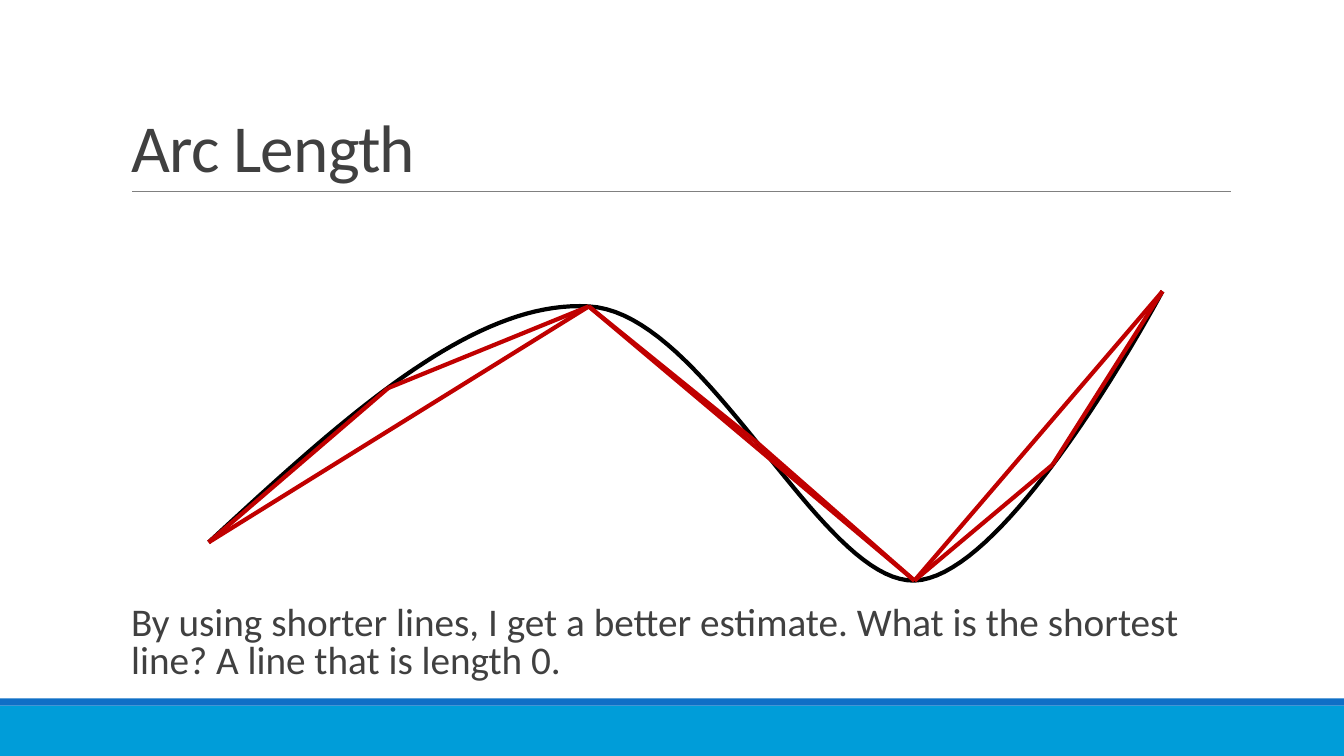
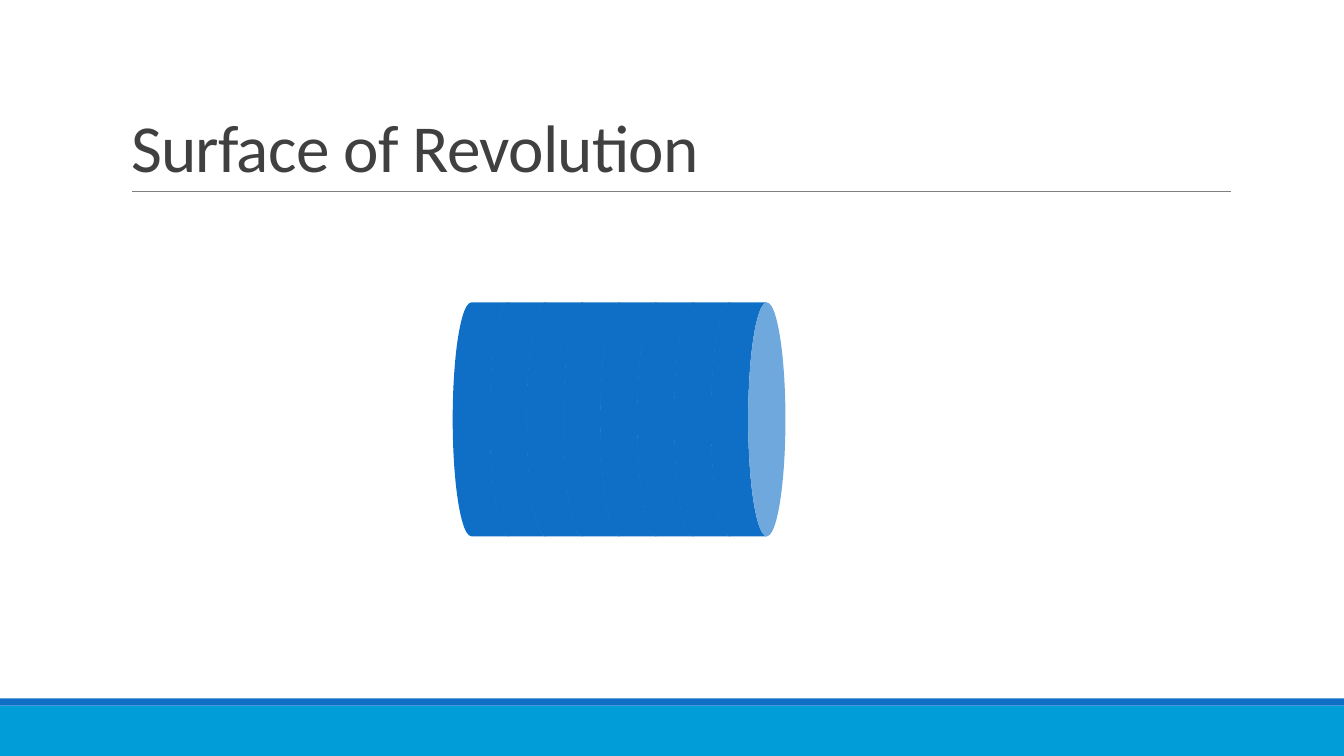
from itertools import pairwise
from lxml import etree
from pptx import Presentation
from pptx.dml.color import RGBColor
from pptx.enum.shapes import MSO_CONNECTOR, MSO_SHAPE
from pptx.enum.text import MSO_ANCHOR, MSO_AUTO_SIZE, PP_ALIGN
from pptx.oxml.ns import qn
from pptx.util import Inches, Pt

RECT = MSO_SHAPE.RECTANGLE
CAN = MSO_SHAPE.CAN
LINE = MSO_CONNECTOR.STRAIGHT
LEFT = PP_ALIGN.LEFT
TOP = MSO_ANCHOR.TOP
BOTTOM = MSO_ANCHOR.BOTTOM
FIXED = MSO_AUTO_SIZE.NONE

BLUE = "0F6FC6"
CYAN = "009DD9"
RED = "C00000"
BLACK = "000000"
GREY = "808080"
INK = "404040"
FONT = "Calibri"


def paint(color, code):
    color.rgb = RGBColor.from_string(code)


def draw(slide, start, end, code, width):
    line = slide.shapes.add_connector(LINE, *map(Inches, start + end))
    paint(line.line.color, code)
    line.line.width = Pt(width)
    etree.SubElement(line.element.spPr, qn("a:effectLst"))
    return line


prs = Presentation()
prs.slide_width = Inches(13.33)
prs.slide_height = Inches(7.5)
arc = prs.slides.add_slide(prs.slide_layouts[1])
solid = prs.slides.add_slide(prs.slide_layouts[5])

frame = []
for top, high, code in [(7, 0.5, CYAN), (6.93, 0.07, BLUE)]:
    band = arc.shapes.add_shape(RECT, 0, Inches(top), prs.slide_width, Inches(high))
    band.shadow.inherit = False
    band.fill.solid()
    paint(band.fill.fore_color, code)
    band.line.fill.background()
    frame.append(band)
frame.append(draw(arc, (1.31, 1.9), (12.21, 1.9), GREY, 0.5))

tree = prs.slide_master.element.cSld.spTree
for num, part in enumerate(frame, 101):
    part.element.xpath(".//p:cNvPr")[0].set("id", str(num))
    tree.append(part.element)

for slide, text in [(arc, "Arc Length"), (solid, "Surface of Revolution")]:
    title = slide.shapes.title
    title.left, title.top = Inches(1.2), Inches(0.31)
    title.width, title.height = Inches(11), Inches(1.59)
    box = title.text_frame
    box.auto_size = FIXED
    box.vertical_anchor = BOTTOM
    para = box.paragraphs[0]
    para.alignment = LEFT
    para.line_spacing = 0.85
    run = para.add_run()
    run.text = text
    run.font.name = FONT
    run.font.size = Pt(48)
    paint(run.font.color, INK)
    run.font._element.set("spc", "-50")

start, peak, dip, end = (2.07, 5.38), (5.84, 3.04), (9.07, 5.76), (11.53, 2.89)
bends = [
    (start, (3.38, 4.17), (4.68, 2.97), peak),
    (peak, (7.01, 3.1), (8.13, 5.78), dip),
    (dip, (10.02, 5.73), end, end),
]
steps = 40
dots = []
for bend in bends:
    for i in range(1, steps + 1):
        t = i / steps
        u = 1 - t
        mix = (u**3, 3 * u * u * t, 3 * u * t * t, t**3)
        dots.append([Inches(sum(m * v for m, v in zip(mix, axis))) for axis in zip(*bend)])
path = arc.shapes.build_freeform(*map(Inches, start))
path.add_line_segments(dots, close=False)
curve = path.convert_to_shape()
curve.shadow.inherit = False
curve.fill.background()
paint(curve.line.color, BLACK)
curve.line.width = Pt(3)

coarse = [start, peak, dip, end]
fine = [start, (3.85, 3.85), peak, (7.52, 4.4), dip, (10.44, 4.61), end]
for chain in (coarse, fine):
    for near, far in pairwise(chain):
        draw(arc, near, far, RED, 3)

body = arc.placeholders[1]
body.left, body.top = Inches(1.2), Inches(5.97)
body.width, body.height = Inches(11), Inches(0.89)
box = body.text_frame
box.auto_size = FIXED
box.vertical_anchor = TOP
box.margin_left = box.margin_right = 0
para = box.paragraphs[0]
para.line_spacing = 0.8
para.space_before = Pt(12)
para.space_after = Pt(2)
props = para._p.get_or_add_pPr()
props.set("marL", str(Inches(0.1)))
props.set("indent", "0")
etree.SubElement(props, qn("a:buNone"))
run = para.add_run()
run.text = "By using shorter lines, I get a better estimate. What is the shortest line? A line that is length 0."
run.font.name = FONT
run.font.size = Pt(28)
paint(run.font.color, INK)

count = 8
step = 2.56 / (count - 1)
for i in range(count):
    can = solid.shapes.add_shape(CAN, Inches(3.7 + i * step), Inches(3.79), Inches(2.32), Inches(0.74))
    can.rotation = 90
    can.adjustments[0] = 0.5
    can.shadow.inherit = False
    can.fill.solid()
    paint(can.fill.fore_color, BLUE)
    can.line.fill.background()

prs.save("out.pptx")
